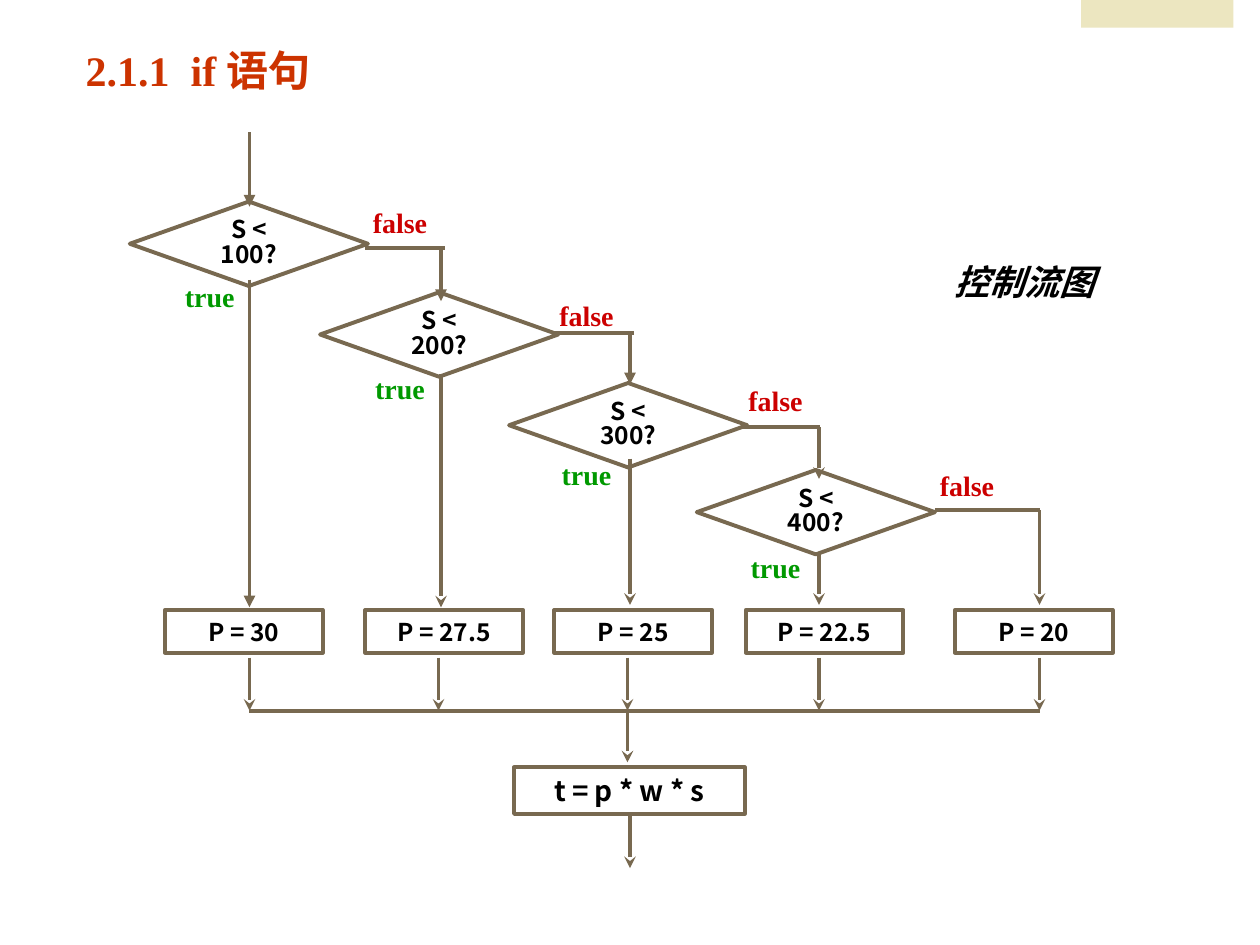
from pptx import Presentation
from pptx.dml.color import RGBColor
from pptx.enum.shapes import MSO_CONNECTOR, MSO_SHAPE
from pptx.enum.text import MSO_ANCHOR, MSO_AUTO_SIZE, PP_ALIGN
from pptx.oxml.ns import qn
from pptx.util import Inches, Pt
from lxml.etree import SubElement

# Content
TITLE = "2.1.1  if 语句"
CAPTION = "控制流图"
SERIF, SANS = "Times New Roman", "Noto Sans CJK SC"
BROWN, GREEN, RED, BLACK, WHITE = "786950", "009900", "CC0000", "000000", "FFFFFF"

# Tests: text, diamond corner, "true" corner, "false" corner
TESTS = [
    ("S < 100?", (1.03, 1.6), (1.37, 2.17), (2.86, 1.58)),
    ("S < 200?", (2.54, 2.32), (2.88, 2.9), (4.34, 2.32)),
    ("S < 300?", (4.04, 3.04), (4.36, 3.58), (5.84, 2.99)),
    ("S < 400?", (5.53, 3.73), (5.86, 4.32), (7.36, 3.67)),
]
# True arrows: top, bottom, head
TRUE_ARROWS = [
    (2.22, 4.82, "triangle"),
    (2.97, 4.82, "stealth"),
    (3.64, 4.8, "stealth"),
    (4.39, 4.8, "stealth"),
]
# False branches: left end, level, overhang past the next column, arrow end, head
FALSE_BRANCHES = [
    (2.9, 1.97, 0.03, 2.39, "triangle"),
    (4.4, 2.64, 0.03, 3.05, "triangle"),
    (5.88, 3.39, 0.01, 3.8, "stealth"),
    (7.42, 4.05, 0, 4.8, "stealth"),
]
# Results: text, left of the box, x of the arrow below it
RESULTS = [
    ("P = 30", 1.31, 1.98),
    ("P = 27.5", 2.9, 3.48),
    ("P = 25", 4.4, 4.98),
    ("P = 22.5", 5.92, 6.5),
    ("P = 20", 7.58, 8.25),
]
COLUMNS = [1.98, 3.5, 5, 6.5, 8.25]
MERGE_Y = 5.64


def rgb(color):
    return RGBColor.from_string(color)


def write(sp, text, size, font, color, align=PP_ALIGN.CENTER, wrap=True):
    tf = sp.text_frame
    tf.text = text
    tf.word_wrap = wrap
    tf.auto_size = MSO_AUTO_SIZE.NONE
    tf.vertical_anchor = MSO_ANCHOR.MIDDLE
    p = tf.paragraphs[0]
    p.alignment = align
    p.font.size, p.font.name, p.font.bold = Pt(size), font, True
    p.font.color.rgb = rgb(color)
    return p


def add_text(s, box, text, size, font, color, wrap=True):
    sp = s.shapes.add_textbox(*map(Inches, box))
    return write(sp, text, size, font, color, wrap=wrap)


def add_box(s, kind, box, text, size):
    sp = s.shapes.add_shape(kind, *map(Inches, box))
    sp.shadow.inherit = False
    sp.fill.solid()
    sp.fill.fore_color.rgb = rgb(WHITE)
    sp.line.color.rgb = rgb(BROWN)
    sp.line.width = Pt(2.25)
    return write(sp, text, size, SANS, BLACK)


def add_line(s, x1, y1, x2, y2, head=None):
    c = s.shapes.add_connector(MSO_CONNECTOR.STRAIGHT, *map(Inches, (x1, y1, x2, y2)))
    c.line.color.rgb = rgb(BROWN)
    c.line.width = Pt(2.25)
    if head:
        SubElement(c.line._get_or_add_ln(), qn("a:tailEnd"), type=head)
    SubElement(c._element.spPr, qn("a:effectLst"))


def main():
    prs = Presentation()
    prs.slide_width, prs.slide_height = Inches(10), Inches(7.5)
    s = prs.slides.add_slide(prs.slide_layouts[5])

    # Title and caption
    title = s.shapes.title
    title.left, title.top, title.width, title.height = map(Inches, (0.58, 0.22, 6.17, 0.67))
    write(title, TITLE, 24, SERIF, "CC3300", PP_ALIGN.LEFT)
    p = add_text(s, (7.17, 1.89, 1.92, 0.58), CAPTION, 20, SANS, BLACK)
    p.font.italic = True
    p.line_spacing = 1.3

    # Tests with their branch labels
    for text, corner, true_at, false_at in TESTS:
        p = add_box(s, MSO_SHAPE.FLOWCHART_DECISION, (*corner, 1.89, 0.67), text, 14)
        p.line_spacing = 0.83
        add_text(s, (*true_at, 0.59, 0.37), "true", 16, SERIF, GREEN, wrap=False)
        add_text(s, (*false_at, 0.63, 0.37), "false", 16, SERIF, RED, wrap=False)

    # Entry arrow and branches
    add_line(s, COLUMNS[0], 1.05, COLUMNS[0], 1.64, "triangle")
    for x, (top, bottom, head) in zip(COLUMNS, TRUE_ARROWS):
        add_line(s, x, top, x, bottom, head)
    for x, (left, y, overhang, bottom, head) in zip(COLUMNS[1:], FALSE_BRANCHES):
        add_line(s, left, y, x + overhang, y)
        add_line(s, x, y, x, bottom, head)

    # Results running into the merge line
    for text, left, x in RESULTS:
        add_box(s, MSO_SHAPE.FLOWCHART_PROCESS, (left, 4.84, 1.25, 0.34), text, 14)
        add_line(s, x, 5.22, x, MERGE_Y, "stealth")
    add_line(s, COLUMNS[0], MERGE_Y, COLUMNS[-1], MERGE_Y)

    # Final step
    add_line(s, 4.98, MERGE_Y, 4.98, 6.05, "stealth")
    add_box(s, MSO_SHAPE.FLOWCHART_PROCESS, (4.08, 6.09, 1.83, 0.37), "t = p * w * s", 16)
    add_line(s, 5, 6.47, 5, 6.89, "stealth")

    # Corner tab
    tab = s.shapes.add_shape(MSO_SHAPE.RECTANGLE, *map(Inches, (8.58, -0.03, 1.21, 0.25)))
    tab.shadow.inherit = False
    tab.fill.solid()
    tab.fill.fore_color.rgb = rgb("ECE6C0")
    tab.line.fill.background()

    prs.save("out.pptx")


if __name__ == "__main__":
    main()
